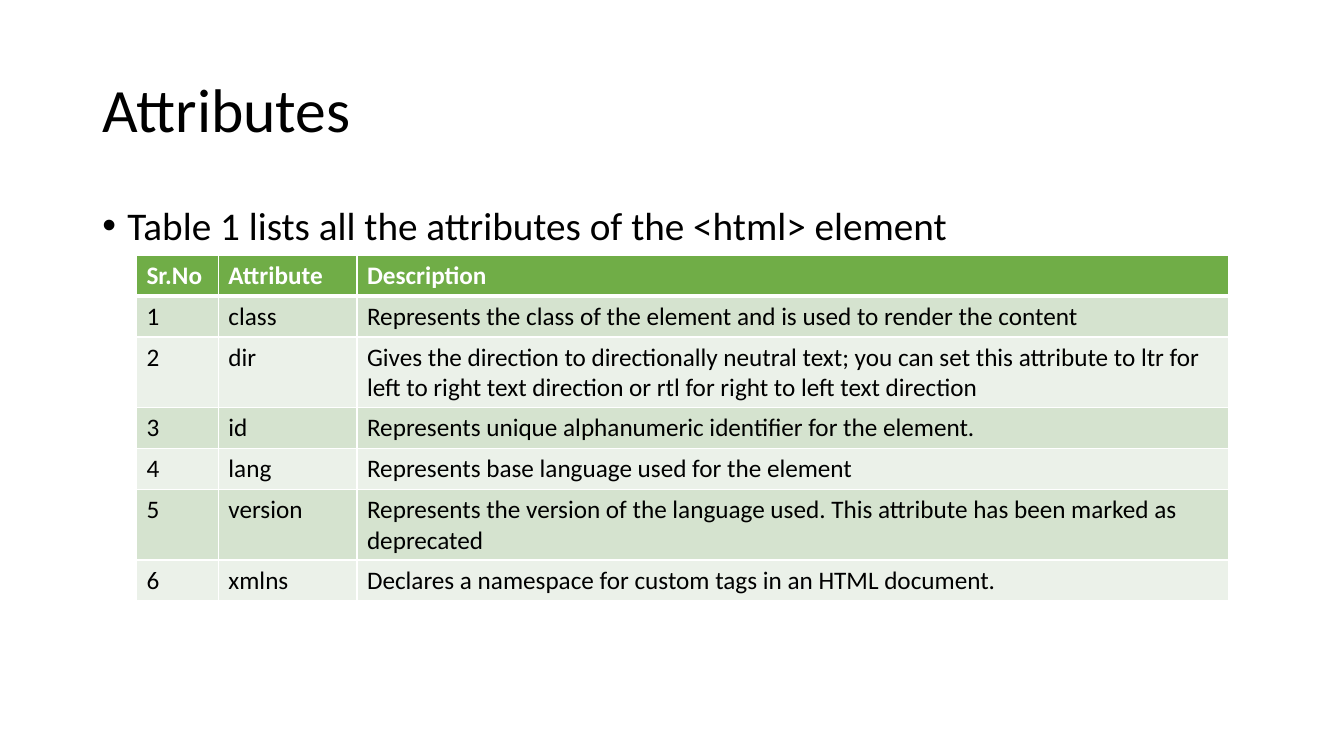
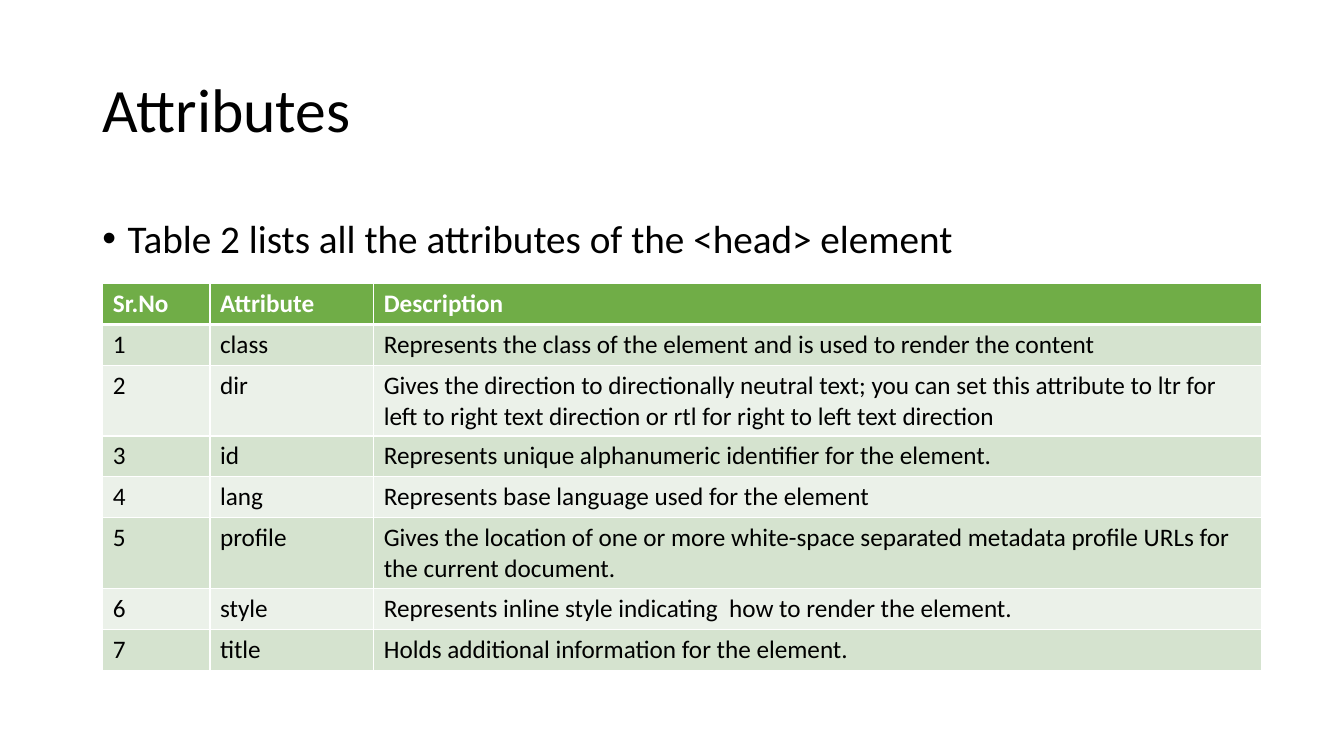
from lxml.etree import SubElement
from pptx import Presentation
from pptx.dml.color import RGBColor
from pptx.enum.text import MSO_ANCHOR, MSO_AUTO_SIZE, PP_ALIGN
from pptx.oxml.ns import qn
from pptx.util import Pt

PX = 9525  # EMU in one px, at 96 px to the inch
FONT = "Calibri"
BLACK, WHITE = "000000", "FFFFFF"
GREEN, BANDS = "70AD47", ("EBF1E9", "D5E3CF")
LEFT, WIDE = 88, 1104
ROW = 39
HEAD = ("Sr.No", "Attribute", "Description")
SHARED = [
    ("class", "Represents the class of the element and is used to render the content"),
    ("dir", "Gives the direction to directionally neutral text; you can set this attribute "
            "to ltr for left to right text direction or rtl for right to left text direction"),
    ("id", "Represents unique alphanumeric identifier for the element."),
    ("lang", "Represents base language used for the element"),
]
SLIDES = [
    {
        "lead": "Table 1 lists all the attributes of the <html> element",
        "box": (LEFT, 192, WIDE, 457),
        "spot": (130, 243),
        "cols": (78, 132, 830),
        "rows": SHARED + [
            ("version", "Represents the version of the language used. "
                        "This attribute has been marked as deprecated"),
            ("xmlns", "Declares a namespace for custom tags in an HTML document."),
        ],
    },
    {
        "lead": "Table 2 lists all the attributes of the <head> element",
        "box": (LEFT, 204, 839, 51),
        "spot": (98, 270),
        "cols": (102, 156, 846),
        "rows": SHARED + [
            ("profile", "Gives the location of one or more white-space separated "
                        "metadata profile URLs for the current document."),
            ("style", "Represents inline style indicating  how to render the element."),
            ("title", "Holds additional information for the element."),
        ],
    },
]


def write(frame, text, size=18, color=BLACK, bold=False, line=1.0, bullet=False):
    frame.word_wrap = True
    para = frame.paragraphs[0]
    para.alignment = PP_ALIGN.LEFT
    para.line_spacing = line
    if bullet:
        props = para._p.get_or_add_pPr()
        props.set("marL", str(24 * PX))
        props.set("indent", str(-24 * PX))
        SubElement(props, qn("a:buFont"), typeface="Arial")
        SubElement(props, qn("a:buChar"), char="•")
    run = para.add_run()
    run.text = text
    run.font.name = FONT
    run.font.size = Pt(size)
    run.font.bold = bold
    run.font.color.rgb = RGBColor.from_string(color)


def edge(cell, side, width):
    """Draw a white border on one side (L, R, T or B) of a cell."""
    line = SubElement(cell._tc.get_or_add_tcPr(), qn("a:ln" + side), w=str(Pt(width)))
    fill = SubElement(line, qn("a:solidFill"))
    SubElement(fill, qn("a:srgbClr"), val=WHITE)


deck = Presentation()
deck.slide_width, deck.slide_height = 1280 * PX, 720 * PX

for page in SLIDES:
    slide = deck.slides.add_slide(deck.slide_layouts[5])

    title = slide.shapes.title
    title.left, title.top = LEFT * PX, 38 * PX
    title.width, title.height = WIDE * PX, 139 * PX
    title.text_frame.auto_size = MSO_AUTO_SIZE.NONE
    title.text_frame.vertical_anchor = MSO_ANCHOR.MIDDLE
    write(title.text_frame, "Attributes", size=44, line=0.9)

    lead = slide.shapes.add_textbox(*(n * PX for n in page["box"]))
    write(lead.text_frame, page["lead"], size=28, line=0.9, bullet=True)

    rows = [HEAD] + [(str(n), *row) for n, row in enumerate(page["rows"], 1)]
    left, top = page["spot"]
    table = slide.shapes.add_table(
        len(rows), len(HEAD), left * PX, top * PX,
        sum(page["cols"]) * PX, len(rows) * ROW * PX).table
    for col, width in zip(table.columns, page["cols"]):
        col.width = width * PX

    for r, row in enumerate(rows):
        table.rows[r].height = ROW * PX
        head = r == 0
        for c, text in enumerate(row):
            cell = table.cell(r, c)
            write(cell.text_frame, text, color=WHITE if head else BLACK, bold=head)
            for side in "LRTB":
                thick = (r, side) in ((0, "B"), (1, "T"))
                edge(cell, side, 3 if thick else 1)
            cell.fill.solid()
            cell.fill.fore_color.rgb = RGBColor.from_string(GREEN if head else BANDS[r % 2])

deck.save("out.pptx")
